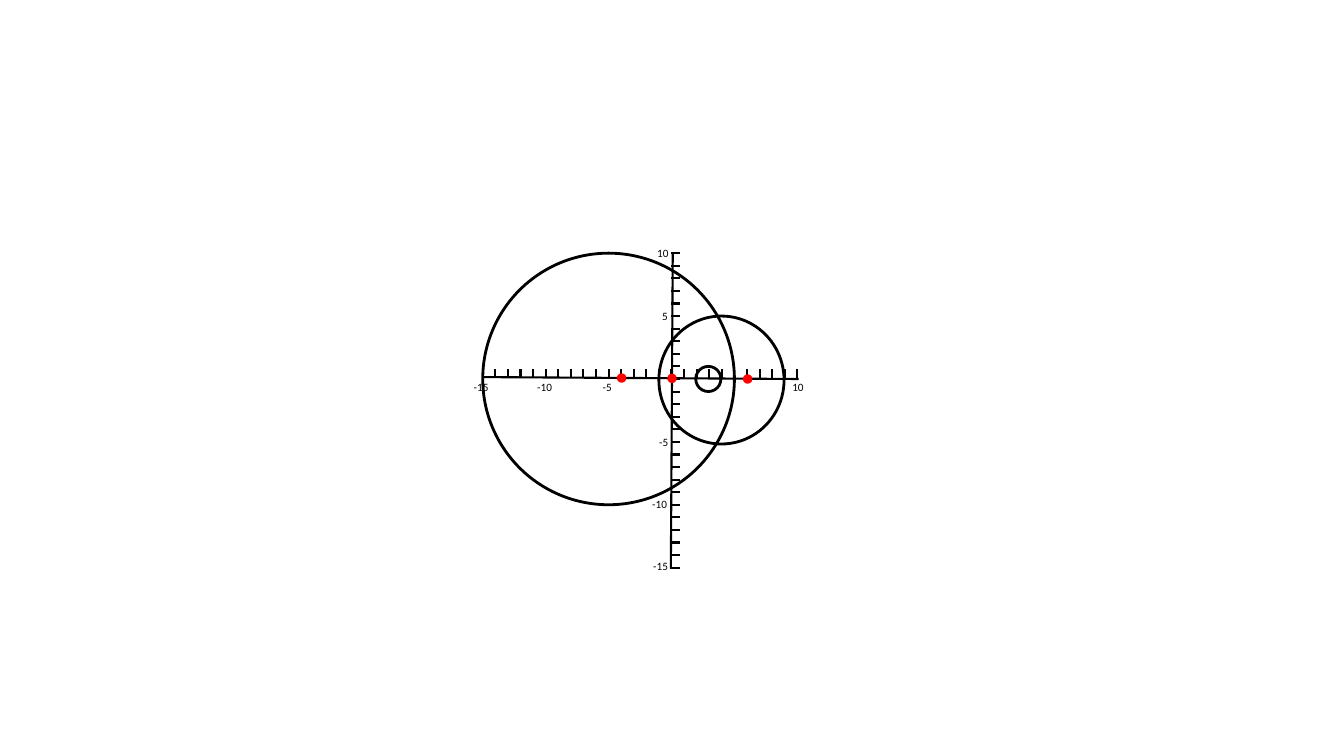
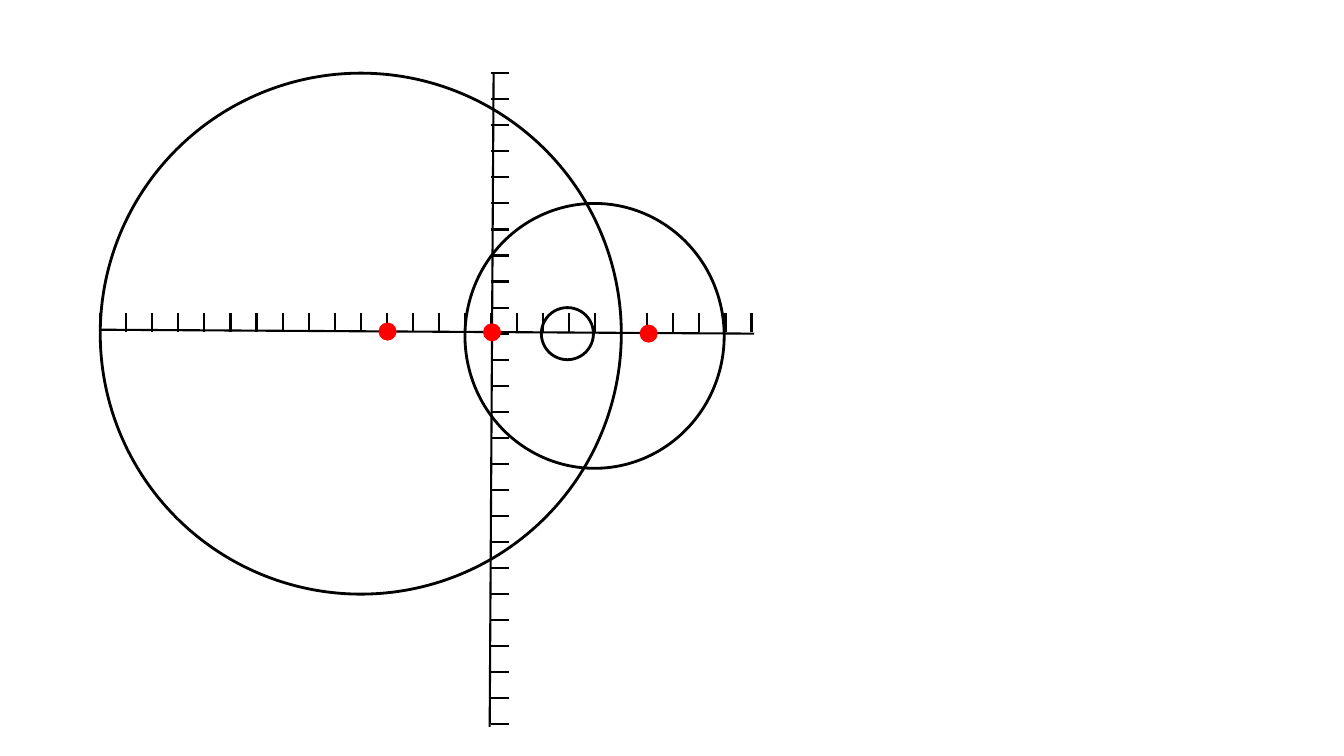
"""Build two slides that plot three circles and three points on ruled axes."""
from dataclasses import dataclass

from lxml import etree
from pptx import Presentation
from pptx.dml.color import RGBColor
from pptx.enum.shapes import MSO_CONNECTOR, MSO_SHAPE
from pptx.enum.text import MSO_AUTO_SIZE
from pptx.oxml.ns import qn
from pptx.util import Inches, Pt

LINE = MSO_CONNECTOR.STRAIGHT
OVAL = MSO_SHAPE.OVAL
GROW = MSO_AUTO_SIZE.SHAPE_TO_FIT_TEXT


@dataclass(frozen=True)
class Theme:
    """Hold colours, type sizes and line widths."""
    ink: RGBColor = RGBColor(0, 0, 0)
    dot: RGBColor = RGBColor(255, 0, 0)
    font: str = "Calibri"
    label: int = 8
    axis: float = 1.5
    ring: float = 2
    edge: float = 1


THEME = Theme()
LOW, HIGH = -15, 10
TICK = 0.7
RISE = 0.08
DOT = 0.64
RINGS = [(-15, 10, 20, 20), (-1, 5, 9.95, 10.17), (1.93, 1, 2, 2)]
DOTS = [(-3.97, 0.08), (0.04, 0.05), (6.05, 0)]
LABELS = [
    ("10", 6.42, 2.39), ("5", 6.47, 3.02), ("-5", 6.44, 4.27),
    ("-10", 6.37, 4.88), ("-15", 6.38, 5.5),
    ("-10", 5.23, 3.72), ("-5", 5.88, 3.72), ("-15", 4.6, 3.72),
    ("10", 7.76, 3.72),
]


def write(frame, text, *, size, color, font):
    """Put formatted text into a text frame."""
    run = frame.paragraphs[0].add_run()
    run.text = text
    run.font.size = Pt(size)
    run.font.name = font
    run.font.color.rgb = color


class Plot:
    """Draw on the current slide in axis units."""

    def __init__(self, deck, theme):
        """Keep the deck and its style."""
        self.deck = deck
        self.theme = theme

    def start(self, left, top, span):
        """Open a slide with its origin and axis length in inches."""
        slide = self.deck.slides.add_slide(self.deck.slide_layouts[6])
        self.shapes = slide.shapes.add_group_shape().shapes
        self.left, self.top = left, top
        self.unit = span / (HIGH - LOW)

    def place(self, x, y):
        """Turn axis units into slide lengths."""
        return (Inches(self.left + x * self.unit),
                Inches(self.top - y * self.unit))

    def line(self, head, tail):
        """Draw a line between two points."""
        line = self.shapes.add_connector(
            LINE, *self.place(*head), *self.place(*tail))
        line.line.color.rgb = self.theme.ink
        line.line.width = Pt(self.theme.axis)
        etree.SubElement(line.element.spPr, qn("a:effectLst"))

    def oval(self, x, y, wide, high, color, width, fill=False):
        """Draw an oval from its top left corner."""
        oval = self.shapes.add_shape(
            OVAL, *self.place(x, y),
            Inches(wide * self.unit), Inches(high * self.unit))
        oval.shadow.inherit = False
        if fill:
            oval.fill.solid()
            oval.fill.fore_color.rgb = color
        else:
            oval.fill.background()
        oval.line.color.rgb = color
        oval.line.width = Pt(width)

    def axes(self):
        """Draw both axes with a tick at each unit."""
        self.line((0.1, HIGH), (-0.05, LOW - 0.1))
        for y in range(HIGH, LOW - 1, -1):
            self.line((0, y), (TICK, y))
        self.line((LOW, 0.15), (HIGH + 0.1, 0))
        for x in range(LOW, HIGH + 1):
            self.line((x, RISE), (x, RISE + TICK))

    def rings(self):
        """Draw the outlined circles."""
        for ring in RINGS:
            self.oval(*ring, self.theme.ink, self.theme.ring)

    def dots(self):
        """Draw the filled points around their centres."""
        for x, y in DOTS:
            self.oval(x - DOT / 2, y + DOT / 2, DOT, DOT,
                      self.theme.dot, self.theme.edge, fill=True)

    def label(self, text, left, top):
        """Add an axis number at a place in inches."""
        wide = 0.48 if len(text) == 3 else 0.33
        box = self.shapes.add_textbox(
            Inches(left), Inches(top), Inches(wide), Inches(0.24))
        frame = box.text_frame
        frame.word_wrap = True
        frame.auto_size = GROW
        write(frame, text, size=self.theme.label,
              color=self.theme.ink, font=self.theme.font)


def main():
    """Build and save the deck."""
    deck = Presentation()
    deck.slide_width = Inches(13.33)
    deck.slide_height = Inches(7.5)
    plot = Plot(deck, THEME)
    for left, top, span, labels in [(6.66, 3.76, 3.12, LABELS),
                                    (4.87, 3.31, 6.46, [])]:
        plot.start(left, top, span)
        plot.axes()
        plot.rings()
        plot.dots()
        for label in labels:
            plot.label(*label)
    deck.save("out.pptx")


main()
